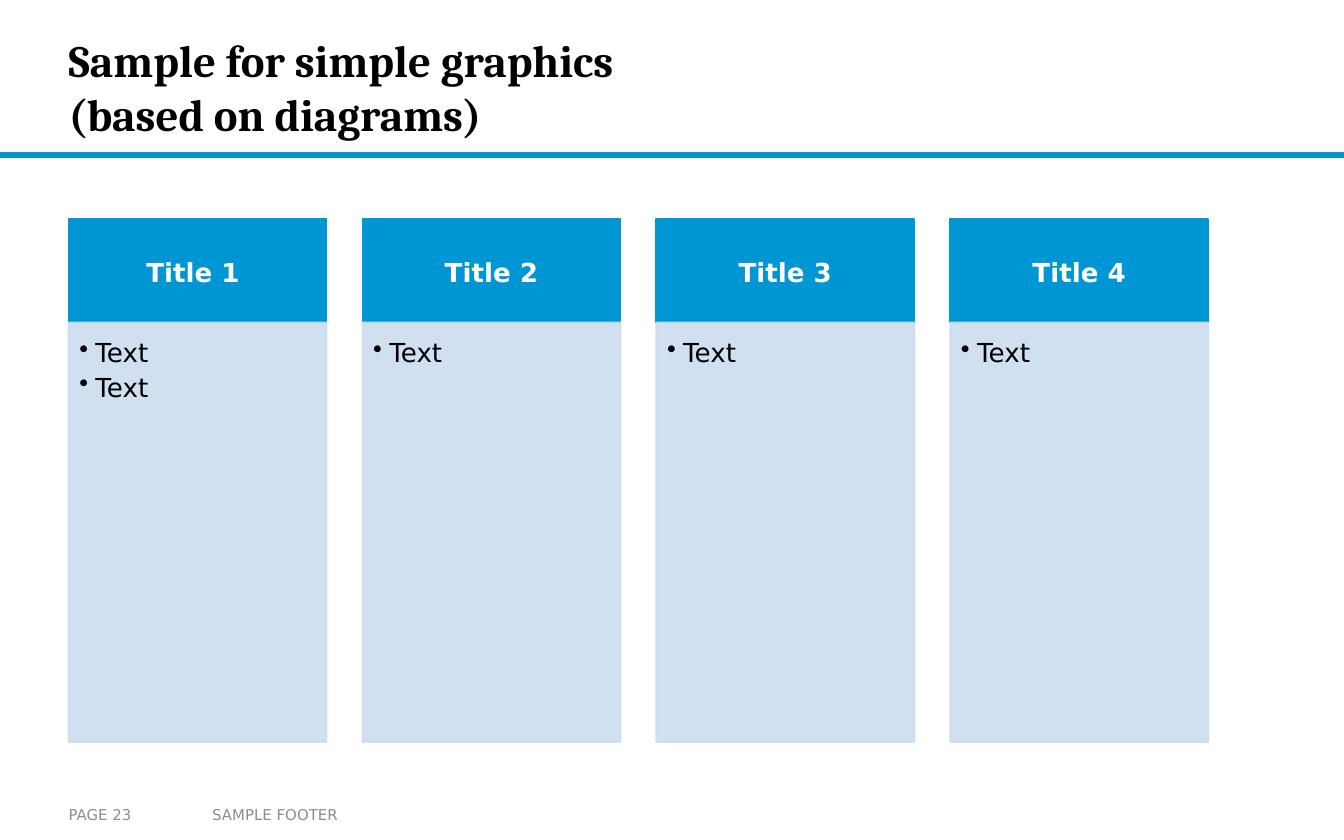
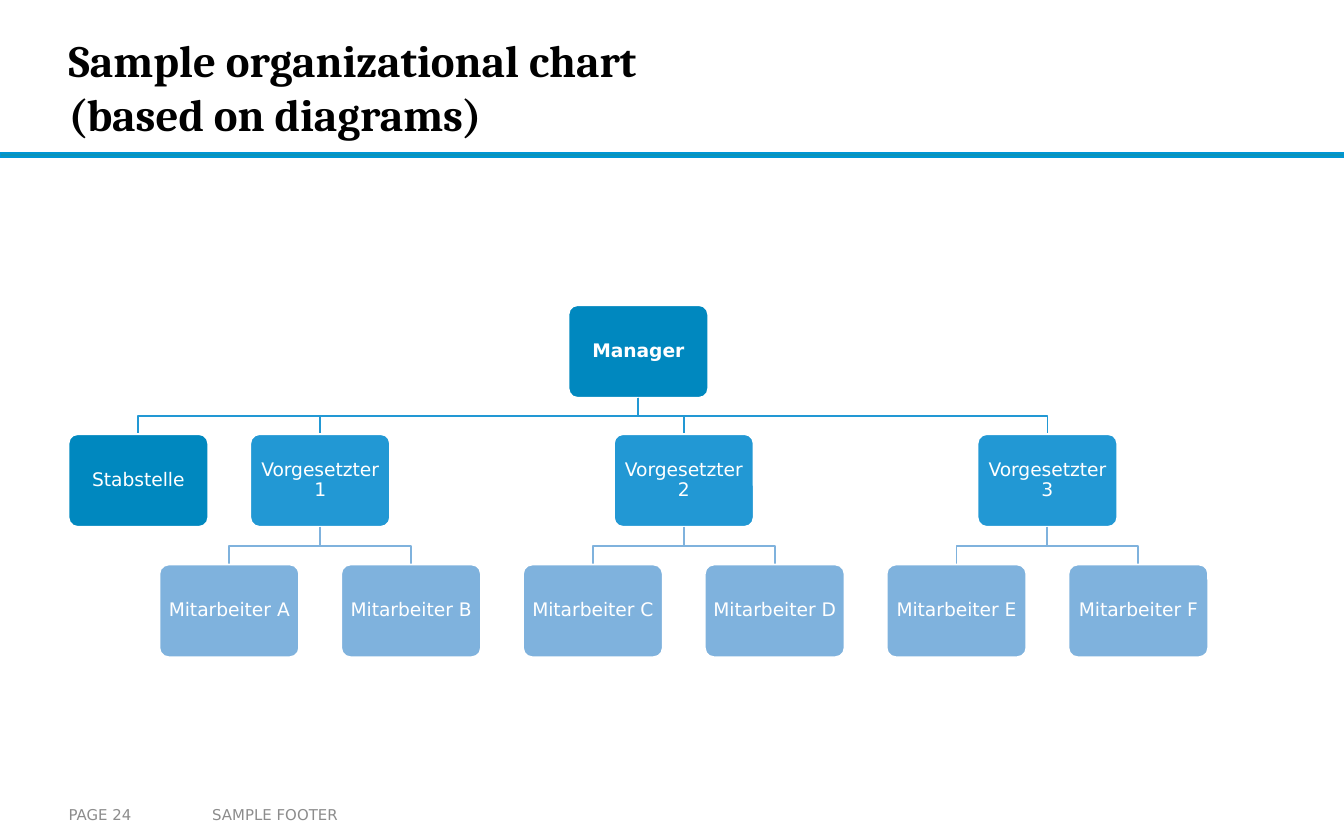
from lxml import etree
from pptx import Presentation
from pptx.dml.color import RGBColor
from pptx.enum import shapes, text
from pptx.oxml import ns
from pptx.util import Inches, Pt

SERIF = "Cambria"
SANS = "DejaVu Sans"
BLACK = RGBColor(0x00, 0x00, 0x00)
WHITE = RGBColor(0xFF, 0xFF, 0xFF)
GREY = RGBColor(0x8C, 0x8C, 0x8C)
BAND = RGBColor(0x0C, 0x94, 0xB7)
BLUE = RGBColor(0x00, 0x96, 0xD3)
PALE_BLUE = RGBColor(0xCC, 0xDD, 0xEF)
DARK_BLUE = RGBColor(0x00, 0x88, 0xBF)
MID_BLUE = RGBColor(0x22, 0x98, 0xD4)
LIGHT_BLUE = RGBColor(0x7F, 0xB2, 0xDD)

LEFT = 0.51
COLUMN_WIDTH = 1.92
COLUMN_PITCH = (7.07 - LEFT) / 3
BOX_WIDTH, BOX_HEIGHT = 1.04, 0.69
FIRST_CENTER = 1.03
CENTER_STEP = (8.47 - FIRST_CENTER) / 11
LEVEL_TOPS = (2.27, 3.23, 4.2)

COLUMNS = [
    ("Title 1 ", ["Text", "Text"]),
    ("Title 2", ["Text"]),
    ("Title 3", ["Text"]),
    ("Title 4", ["Text"]),
]
TEAMS = [
    ("Vorgesetzter 1", 2, ("Mitarbeiter A", "Mitarbeiter B")),
    ("Vorgesetzter 2", 6, ("Mitarbeiter C", "Mitarbeiter D")),
    ("Vorgesetzter 3", 10, ("Mitarbeiter E", "Mitarbeiter F")),
]


def add_run(paragraph, content, size, color, bold=False, font=SANS):
    """Append one formatted run to a paragraph."""
    run = paragraph.add_run()
    run.text = content
    run.font.name = font
    run.font.size = Pt(size)
    run.font.bold = bold
    run.font.color.rgb = color


def set_frame(frame, insets, anchor=text.MSO_ANCHOR.MIDDLE):
    """Set wrapping, anchor and left, top, right, bottom insets of a text frame."""
    frame.word_wrap = True
    frame.auto_size = text.MSO_AUTO_SIZE.NONE
    frame.vertical_anchor = anchor
    frame.margin_left, frame.margin_top, frame.margin_right, frame.margin_bottom = map(Inches, insets)


def add_box(slide, kind, bounds, fill, line):
    """Add a filled preset shape with a one-point outline."""
    shape = slide.shapes.add_shape(kind, *map(Inches, bounds))
    shape.shadow.inherit = False
    shape.fill.solid()
    shape.fill.fore_color.rgb = fill
    shape.line.color.rgb = line
    shape.line.width = Pt(1)
    return shape


def add_label(shape, content, size, insets, spacing, bold=False):
    """Write one centred white label in a shape."""
    set_frame(shape.text_frame, insets)
    paragraph = shape.text_frame.paragraphs[0]
    paragraph.alignment = text.PP_ALIGN.CENTER
    paragraph.line_spacing = spacing
    add_run(paragraph, content, size, WHITE, bold)


def set_opacity(shape, percent):
    """Make the fill and outline of a shape partly transparent."""
    for color in shape.element.spPr.iter(ns.qn("a:srgbClr")):
        etree.SubElement(color, ns.qn("a:alpha"), val=str(percent * 1000))


def add_bullets(frame, items):
    """Fill a text frame with bulleted paragraphs."""
    for index, item in enumerate(items):
        paragraph = frame.add_paragraph() if index else frame.paragraphs[0]
        paragraph.level = 1
        paragraph.alignment = text.PP_ALIGN.LEFT
        paragraph.line_spacing = 1.1
        properties = paragraph._p.get_or_add_pPr()
        properties.set("marL", str(Inches(0.12)))
        properties.set("indent", str(Inches(-0.12)))
        etree.SubElement(properties, ns.qn("a:buChar"), char="•")
        add_run(paragraph, item, 14, BLACK)


def add_footer_text(slide, content, left, width, side_inset):
    """Add one small grey text at the foot of the slide."""
    box = slide.shapes.add_textbox(*map(Inches, (left, 5.92, width, 0.28)))
    set_frame(box.text_frame, (side_inset, 0.05, side_inset, 0.05))
    add_run(box.text_frame.paragraphs[0], content, 8, GREY)


def add_slide(presentation, title_lines, page):
    """Add a slide with title, band and footer."""
    slide = presentation.slides.add_slide(presentation.slide_layouts[5])
    add_box(slide, shapes.MSO_SHAPE.RECTANGLE, (0, 1.14, 10, 0.03), BAND, BLUE)
    title = slide.shapes.title
    title.left, title.top, title.width, title.height = map(Inches, (LEFT, 0.15, 7.48, 0.99))
    set_frame(title.text_frame, (0, 0, 0, 0))
    paragraph = title.text_frame.paragraphs[0]
    paragraph.alignment = text.PP_ALIGN.LEFT
    for index, line in enumerate(title_lines):
        if index:
            paragraph.add_line_break()
        add_run(paragraph, line, 24, BLACK, True, SERIF)
    add_footer_text(slide, "SAMPLE FOOTER", 1.48, 3.52, 0.1)
    add_footer_text(slide, f"PAGE {page}", LEFT, 0.98, 0)
    return slide


def add_column(slide, left, heading, items):
    """Add a heading box with a bulleted box below it."""
    rectangle = shapes.MSO_SHAPE.RECTANGLE
    header = add_box(slide, rectangle, (left, 1.63, COLUMN_WIDTH, 0.77), BLUE, BLUE)
    add_label(header, heading, 14, (0.11, 0.06, 0.11, 0.06), 1.1, True)
    body = add_box(slide, rectangle, (left, 2.4, COLUMN_WIDTH, 3.12), PALE_BLUE, PALE_BLUE)
    set_opacity(body, 90)
    set_frame(body.text_frame, (0.08, 0.08, 0.11, 0.12), text.MSO_ANCHOR.TOP)
    add_bullets(body.text_frame, items)


def add_position(slide, name, step, level, color, bold=False):
    """Add a rounded box of the organizational chart."""
    left = FIRST_CENTER + step * CENTER_STEP - BOX_WIDTH / 2
    bounds = (left, LEVEL_TOPS[level], BOX_WIDTH, BOX_HEIGHT)
    box = add_box(slide, shapes.MSO_SHAPE.ROUNDED_RECTANGLE, bounds, color, WHITE)
    box.adjustments[0] = 0.1
    add_label(box, name, 10, (0.04,) * 4, 0.9, bold)


def add_branch(slide, parent_step, child_step, level, color):
    """Draw the angled line from a parent down to a child at the given level."""
    start_x, end_x = (FIRST_CENTER + step * CENTER_STEP for step in (parent_step, child_step))
    top, bottom = LEVEL_TOPS[level - 1] + BOX_HEIGHT, LEVEL_TOPS[level]
    middle = (top + bottom) / 2
    builder = slide.shapes.build_freeform(Inches(start_x), Inches(top))
    corners = ((start_x, middle), (end_x, middle), (end_x, bottom))
    builder.add_line_segments([(Inches(x), Inches(y)) for x, y in corners], close=False)
    branch = builder.convert_to_shape()
    branch.shadow.inherit = False
    branch.fill.background()
    branch.line.color.rgb = color
    branch.line.width = Pt(1)


def build_columns_slide(presentation):
    """Build the slide with four titled columns."""
    slide = add_slide(presentation, ("Sample for simple graphics", "(based on diagrams)"), 23)
    for index, (heading, items) in enumerate(COLUMNS):
        add_column(slide, LEFT + index * COLUMN_PITCH, heading, items)


def build_organization_slide(presentation):
    """Build the slide with the organizational chart."""
    slide = add_slide(presentation, ("Sample organizational chart", "(based on diagrams)"), 24)
    manager_step = 5.5
    add_position(slide, "Manager", manager_step, 0, DARK_BLUE, True)
    add_branch(slide, manager_step, 0, 1, MID_BLUE)
    add_position(slide, "Stabstelle", 0, 1, DARK_BLUE)
    for supervisor, step, members in TEAMS:
        add_branch(slide, manager_step, step, 1, MID_BLUE)
        add_position(slide, supervisor, step, 1, MID_BLUE)
        for member, member_step in zip(members, (step - 1, step + 1)):
            add_branch(slide, step, member_step, 2, LIGHT_BLUE)
            add_position(slide, member, member_step, 2, LIGHT_BLUE)


def main():
    """Create and save the presentation."""
    presentation = Presentation()
    presentation.slide_width = Inches(10)
    presentation.slide_height = Inches(6.25)
    build_columns_slide(presentation)
    build_organization_slide(presentation)
    presentation.save("out.pptx")


if __name__ == "__main__":
    main()
